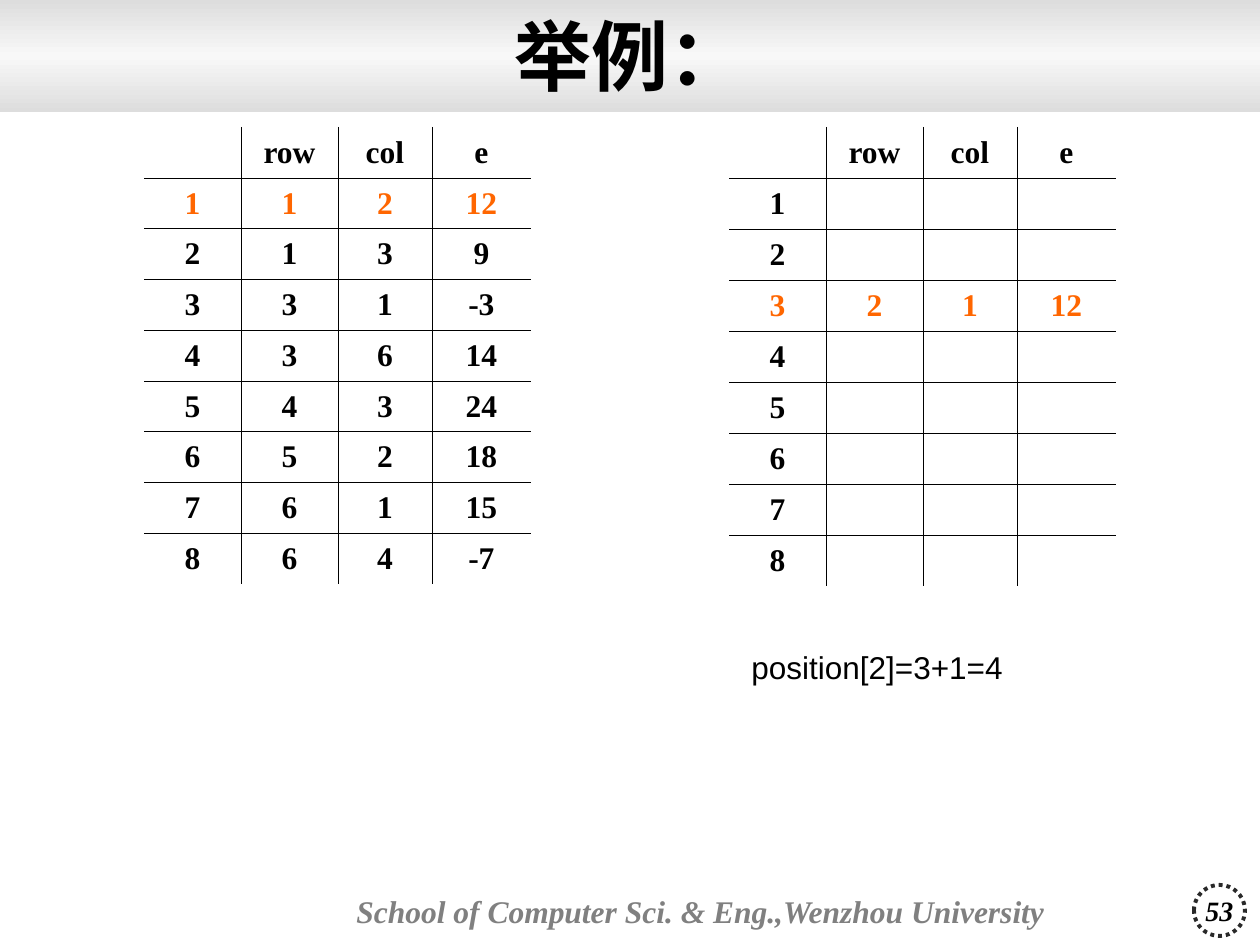
from copy import deepcopy

from lxml.etree import SubElement
from pptx import Presentation
from pptx.dml.color import RGBColor
from pptx.enum.dml import MSO_LINE
from pptx.enum.shapes import MSO_SHAPE
from pptx.enum.text import MSO_ANCHOR, MSO_AUTO_SIZE, PP_ALIGN
from pptx.oxml.ns import qn
from pptx.util import Pt

# Content
TITLE = "举例："
FOOTER = "School of Computer Sci. & Eng.,Wenzhou University"
PAGE = "53"
NOTE = "position[2]=3+1=4"
HEADER = ("", "row", "col", "e")
SOURCE = [(1, 2, 12), (1, 3, 9), (3, 1, -3), (3, 6, 14),
          (4, 3, 24), (5, 2, 18), (6, 1, 15), (6, 4, -7)]
BLANK = ("", "", "")
TARGET = [BLANK] * 2 + [(2, 1, 12)] + [BLANK] * 5
# (left px, entries, number of the highlighted entry)
TABLES = [(144, SOURCE, 1), (729, TARGET, 3)]

# Look
COLORS = {"text": "000000", "accent": "FF6600", "footer": "808080",
          "ring": "292929", "edge": "DDDDDD", "middle": "F8F8F8"}
SERIF, SANS = "Times New Roman", "Arial"
TABLE_TOP, TABLE_HEIGHT = 127, 457
COL_WIDTHS = (97, 97, 94, 99)
BORDER = Pt(0.45)
PX_PER_INCH = 126


def px(n):
    return round(n * 914400 / PX_PER_INCH)


def box(*lengths):
    return [px(n) for n in lengths]


def color(name):
    return RGBColor.from_string(COLORS[name])


def write(tf, text, size, name="text", font=SERIF, bold=True, italic=False,
          align=PP_ALIGN.CENTER):
    p = tf.paragraphs[0]
    p.alignment = align
    r = p.add_run()
    r.text = text
    r.font.size, r.font.name = Pt(size), font
    r.font.bold, r.font.italic = bold, italic
    r.font.color.rgb = color(name)


def plain_shape(shapes, kind, *lengths):
    sp = shapes.add_shape(kind, *box(*lengths))
    sp.shadow.inherit = False
    sp.fill.background()
    sp.line.fill.background()
    sp.text_frame.word_wrap = False
    sp.text_frame.vertical_anchor = MSO_ANCHOR.MIDDLE
    return sp


def set_borders(cell, inner):
    """Draw only the sides that face another cell."""
    tcPr = cell._tc.get_or_add_tcPr()
    for side in ("L", "R", "T", "B"):
        ln = SubElement(tcPr, qn("a:ln" + side), w=str(BORDER))
        if inner[side]:
            fill = SubElement(ln, qn("a:solidFill"))
            SubElement(fill, qn("a:srgbClr"), val=COLORS["text"])
        else:
            SubElement(ln, qn("a:noFill"))


def add_triples(shapes, left, entries, marked):
    rows = [HEADER] + [(i, *entry) for i, entry in enumerate(entries, 1)]
    n_rows, n_cols = len(rows), len(HEADER)
    table = shapes.add_table(
        n_rows, n_cols,
        *box(left, TABLE_TOP, sum(COL_WIDTHS), TABLE_HEIGHT)).table
    table.first_row = table.horz_banding = False
    for col, width in zip(table.columns, COL_WIDTHS):
        col.width = px(width)
    for i, values in enumerate(rows):
        table.rows[i].height = px(TABLE_HEIGHT / n_rows)
        for j, value in enumerate(values):
            cell = table.cell(i, j)
            cell.vertical_anchor = MSO_ANCHOR.MIDDLE
            set_borders(cell, {"L": j > 0, "R": j < n_cols - 1,
                               "T": i > 0, "B": i < n_rows - 1})
            cell.fill.background()
            if value != "":
                write(cell.text_frame, str(value), 18,
                      "accent" if i == marked else "text")


prs = Presentation()
prs.slide_width, prs.slide_height = box(1260, 945)
slide = prs.slides.add_slide(prs.slide_layouts[5])
shapes = slide.shapes

# Title band
band = plain_shape(shapes, MSO_SHAPE.RECTANGLE, 0, 0, 1260, 112)
band.fill.gradient()
band.fill.gradient_angle = 270
stops = band._element.spPr.find(".//" + qn("a:gsLst"))
stops.append(deepcopy(stops[-1]))
for stop, pos, name in zip(band.fill.gradient_stops, (0, 0.5, 1),
                           ("edge", "middle", "edge")):
    stop.position = pos
    stop.color.rgb = color(name)

# Footer and page number
sp = plain_shape(shapes, MSO_SHAPE.ROUNDED_RECTANGLE, 350, 869, 755, 83)
sp.adjustments[0] = 0.02
tf = sp.text_frame
tf.margin_left = tf.margin_right = px(6)
tf.margin_top = tf.margin_bottom = px(3)
write(tf, FOOTER, 18, "footer", italic=True, align=PP_ALIGN.LEFT)

ring = plain_shape(shapes, MSO_SHAPE.OVAL, 1194, 885, 51, 51)
ring.line.color.rgb = color("ring")
ring.line.width = Pt(2.25)
ring.line.dash_style = MSO_LINE.ROUND_DOT
write(ring.text_frame, PAGE, 16, italic=True)

# Title, in front of its band
title = shapes.title
title.left, title.top, title.width, title.height = box(0, -2, 1260, 113)
shapes._spTree.append(title._element)
tf = title.text_frame
tf.auto_size = MSO_AUTO_SIZE.NONE
tf.vertical_anchor = MSO_ANCHOR.MIDDLE
write(tf, TITLE, 44)

# Tables
for left, entries, marked in TABLES:
    add_triples(shapes, left, entries, marked)

# Note under the right table
tf = shapes.add_textbox(*box(739, 642, 298, 51)).text_frame
tf.word_wrap = True
tf.auto_size = MSO_AUTO_SIZE.SHAPE_TO_FIT_TEXT
write(tf, NOTE, 18, font=SANS, bold=False, align=PP_ALIGN.LEFT)

prs.save("out.pptx")
